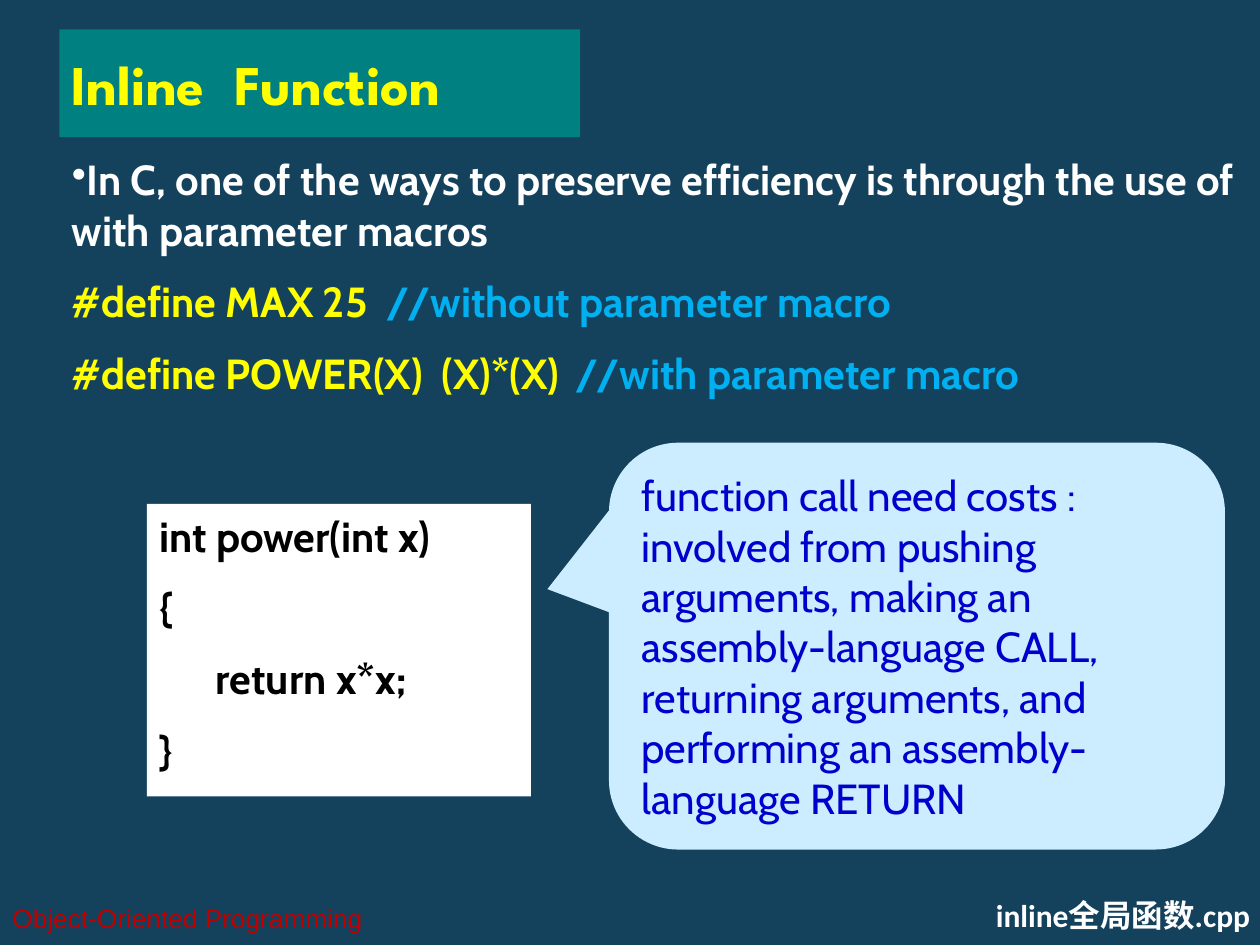
import pptx
import pptx.util
import pptx.dml.color
import pptx.enum.shapes
import pptx.enum.text
import pptx.oxml.ns
from lxml import etree

Pt = pptx.util.Pt
SHAPES = pptx.enum.shapes.MSO_SHAPE
ANCHOR = pptx.enum.text.MSO_ANCHOR
ALIGN = pptx.enum.text.PP_ALIGN

BACKGROUND = "14425D"
WHITE, BLACK, YELLOW, SKY = "FFFFFF", "000000", "FFFF00", "00B0F0"

# Each paragraph is a list of (text, colour) runs.
TITLE = [[("Inline  Function", YELLOW)]]
COURSE = [[("Object-Oriented Programming", "C00000")]]
MACROS = [
    [("In C, one of the ways to preserve efficiency is through the use of "
      "with parameter macros", WHITE)],
    [("#define MAX 25\t", YELLOW), ("//without parameter macro", SKY)],
    [("#define POWER(X)  (X)*(X) \t", YELLOW), ("//with parameter macro", SKY)],
]
CODE = [[(line, BLACK)] for line in
        ("int power(int x)", "{", "      return x*x;", "}")]
CALL_COSTS = [[("function call need costs : involved from pushing arguments, "
                "making an assembly-language CALL, returning arguments, and "
                "performing an assembly-language RETURN", "0000CC")]]
FILE_NAME = [[("inline全局函数.cpp", WHITE)]]


def colour(value):
    return pptx.dml.color.RGBColor.from_string(value)


def add_filled_shape(slide, kind, box, fill):
    shape = slide.shapes.add_shape(kind, *map(Pt, box))
    shape.shadow.inherit = False
    shape.fill.solid()
    shape.fill.fore_color.rgb = colour(fill)
    shape.line.fill.background()
    return shape


def add_text_box(slide, box):
    return slide.shapes.add_textbox(*map(Pt, box))


def write(shape, paragraphs, font, size, bold=False, anchor=ANCHOR.TOP,
          align=ALIGN.LEFT, insets=(7.2, 3.6)):
    """Fill the shape with text; later paragraphs get half a line above."""
    frame = shape.text_frame
    frame.word_wrap = True
    frame.vertical_anchor = anchor
    frame.margin_left = frame.margin_right = Pt(insets[0])
    frame.margin_top = frame.margin_bottom = Pt(insets[1])
    for index, runs in enumerate(paragraphs):
        paragraph = frame.add_paragraph() if index else frame.paragraphs[0]
        paragraph.alignment = align
        if index:
            paragraph.space_before = Pt(size / 2)
        for text, run_colour in runs:
            run = paragraph.add_run()
            run.text = text
            run.font.name = font
            run.font.size = Pt(size)
            run.font.bold = bold
            run.font.color.rgb = colour(run_colour)


def add_bullet(paragraph):
    properties = paragraph._p.get_or_add_pPr()
    properties.set("marL", "0")
    properties.set("indent", "0")
    bullet = etree.SubElement(properties, pptx.oxml.ns.qn("a:buChar"))
    bullet.set("char", "•")


def main():
    presentation = pptx.Presentation()
    presentation.slide_width, presentation.slide_height = Pt(720), Pt(540)
    slide = presentation.slides.add_slide(presentation.slide_layouts[6])
    slide.background.fill.solid()
    slide.background.fill.fore_color.rgb = colour(BACKGROUND)

    title = add_filled_shape(slide, SHAPES.RECTANGLE, (34, 16.8, 297.6, 61.6), "008080")
    write(title, TITLE, "League Spartan", 32, bold=True, anchor=ANCHOR.MIDDLE)

    course = add_text_box(slide, (0, 510, 288.6, 29))
    write(course, COURSE, "Arial", 15, anchor=ANCHOR.MIDDLE)

    macros = add_text_box(slide, (34, 84.4, 686, 152.6))
    write(macros, MACROS, "Cabin", 24, bold=True)
    add_bullet(macros.text_frame.paragraphs[0])

    code = add_filled_shape(slide, SHAPES.RECTANGLE, (84, 288, 219.4, 167.2), WHITE)
    write(code, CODE, "Cabin", 24, bold=True)

    callout = add_filled_shape(slide, SHAPES.ROUNDED_RECTANGULAR_CALLOUT,
                               (348, 253, 352, 232.5), "CCECFF")
    for index, value in enumerate((-0.6, -0.14, 0.17)):
        callout.adjustments[index] = value
    write(callout, CALL_COSTS, "Cabin", 24, anchor=ANCHOR.MIDDLE)

    file_name = add_text_box(slide, (479.5, 507.6, 243.4, 30.4))
    write(file_name, FILE_NAME, "Calibri", 18, bold=True, align=ALIGN.RIGHT,
          insets=(8.6, 4.3))

    presentation.save("out.pptx")


if __name__ == "__main__":
    main()
